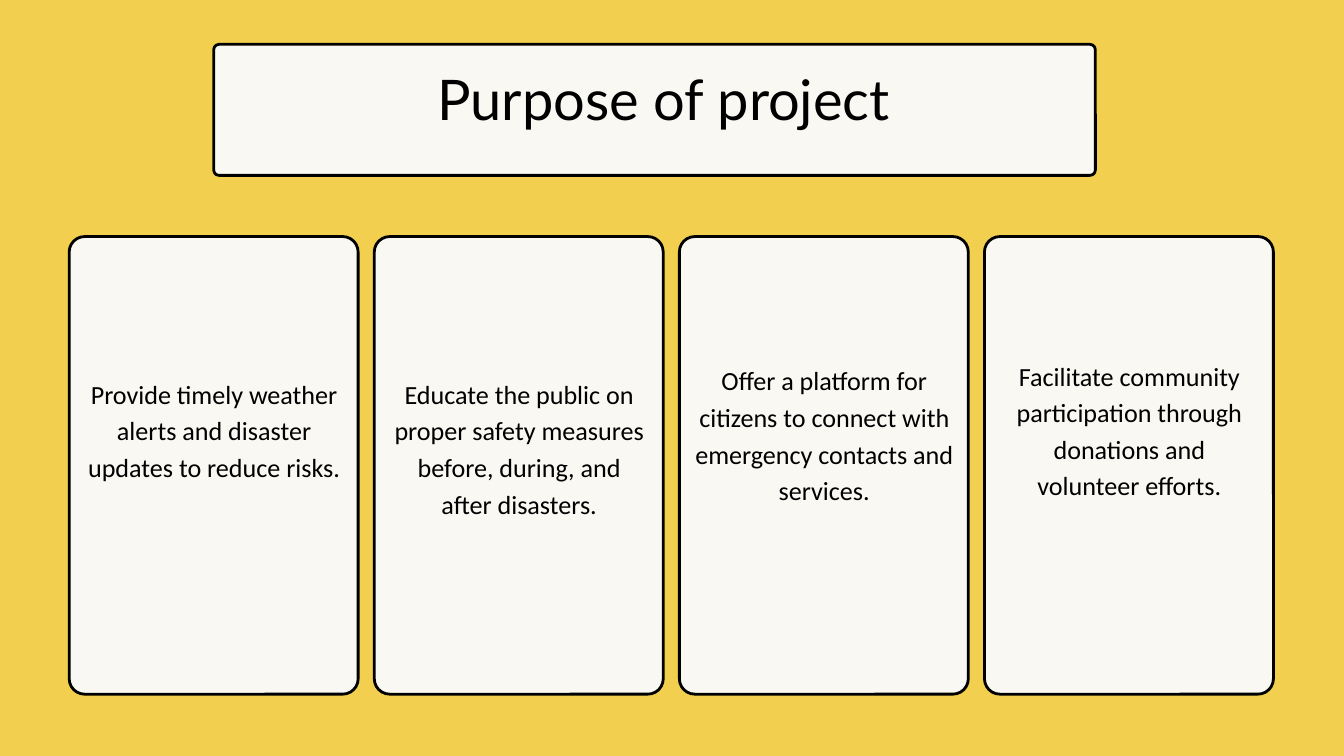
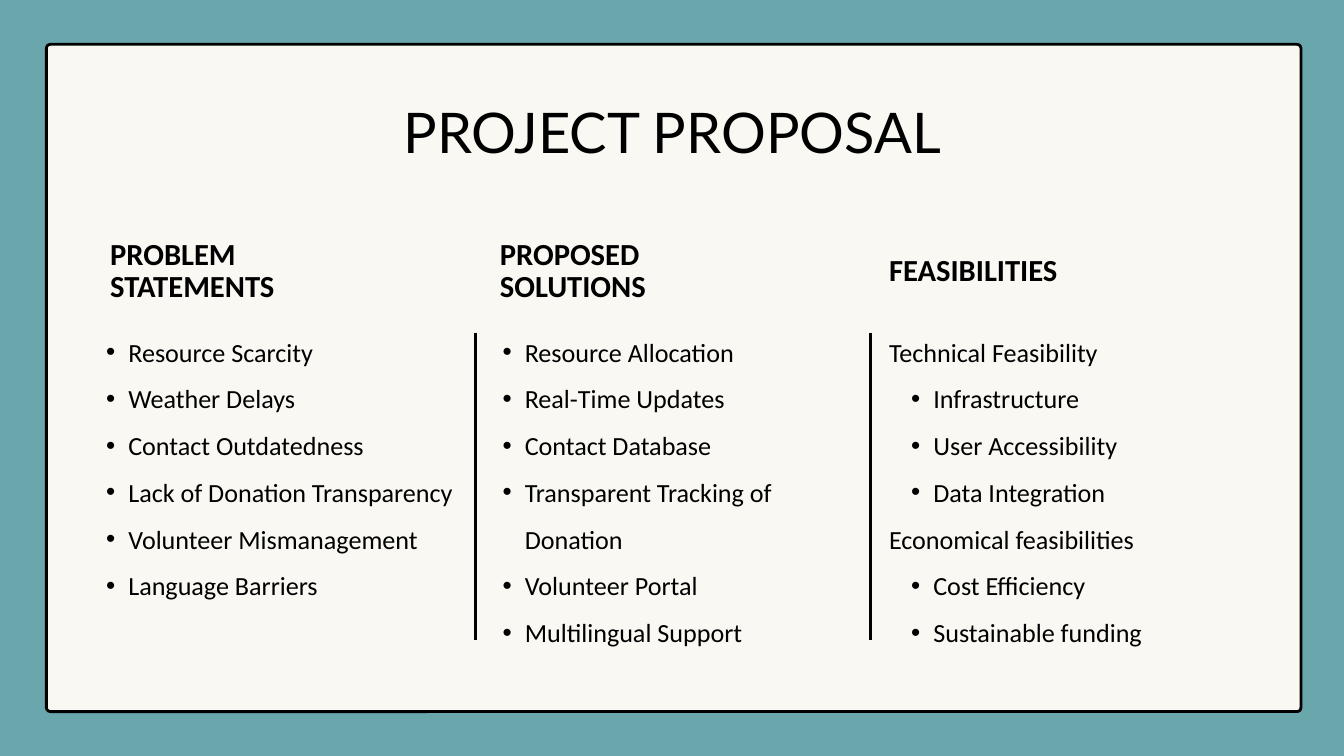
"""Build two slides: the purpose of a project and its proposal."""
import pptx
import pptx.dml.color
import pptx.enum.shapes
import pptx.enum.text
import pptx.util
from lxml import etree
from pptx.oxml.ns import qn

Inches = pptx.util.Inches
Pt = pptx.util.Pt
RGBColor = pptx.dml.color.RGBColor
ALIGN = pptx.enum.text.PP_ALIGN

YELLOW = RGBColor(0xF2, 0xCF, 0x4E)
TEAL = RGBColor(0x6A, 0xA7, 0xAD)
CREAM = RGBColor(0xF9, 0xF8, 0xF2)
BLACK = RGBColor(0, 0, 0)

TITLE = dict(font="Lato", size=60, lead=84, align=ALIGN.CENTER)
CARD = dict(size=28, lead=39.2, align=ALIGN.CENTER)
HEAD = dict(size=32.8, lead=35.1, bold=True)
LIST = dict(size=28, lead=50.1)

AIMS = [
    ("Provide timely weather alerts and disaster updates to reduce risks.", 5.55, 2.15),
    ("Educate the public on proper safety measures before, during, and after disasters.", 5.55, 2.69),
    ("Offer a platform for citizens to connect with emergency contacts and services.", 5.35, 3.23),
    ("Facilitate community participation through donations and volunteer efforts.", 5.28, 3.23),
]

COLUMNS = [
    dict(head="PROBLEM STATEMENTS", spot=(1.64, 3.55, 0.98), left=1.25, high=5.45, items=[
        (1, "Resource Scarcity"), (1, "Weather Delays"), (1, "Contact Outdatedness"),
        (1, "Lack of Donation Transparency"), (1, "Volunteer Mismanagement"),
        (1, "Language Barriers")]),
    dict(head="PROPOSED SOLUTIONS", spot=(7.44, 3.55, 0.98), left=7.15, high=4.76, items=[
        (1, "Resource Allocation"), (1, "Real-Time Updates"), (1, "Contact Database"),
        (1, "Transparent Tracking of Donation"), (1, "Volunteer Portal"),
        (1, "Multilingual Support")]),
    dict(head="FEASIBILITIES", spot=(13.23, 3.79, 0.5), left=13.23, high=5.45, items=[
        (0, "Technical Feasibility"), (1, "Infrastructure"), (1, "User Accessibility"),
        (1, "Data Integration"), (0, "Economical feasibilities"),
        (1, "Cost Efficiency"), (1, "Sustainable funding")]),
]
RULES = [7.08, 12.96]


def add_page(deck, color):
    page = deck.slides.add_slide(deck.slide_layouts[6])
    page.background.fill.solid()
    page.background.fill.fore_color.rgb = color
    return page


def add_panel(page, box, radius):
    kind = pptx.enum.shapes.MSO_SHAPE.ROUNDED_RECTANGLE
    panel = page.shapes.add_shape(kind, *map(Inches, box))
    panel.adjustments[0] = radius / min(box[2:])
    panel.shadow.inherit = False
    panel.fill.solid()
    panel.fill.fore_color.rgb = CREAM
    panel.line.color.rgb = BLACK
    panel.line.width = Pt(3)


def add_bullet(para):
    para.level = 1
    props = para._p.get_or_add_pPr()
    props.set("marL", str(Inches(0.66)))
    props.set("indent", str(Inches(-0.33)))
    etree.SubElement(props, qn("a:buFont")).set("typeface", "Arial")
    etree.SubElement(props, qn("a:buChar")).set("char", "•")


def add_text(page, box, text, font="Calibri", size=28, lead=39.2, bold=False, align=ALIGN.LEFT):
    frame = page.shapes.add_textbox(*map(Inches, box)).text_frame
    frame.margin_left = frame.margin_right = frame.margin_top = frame.margin_bottom = 0
    frame.word_wrap = True
    frame.auto_size = pptx.enum.text.MSO_AUTO_SIZE.SHAPE_TO_FIT_TEXT
    items = [(0, text)] if isinstance(text, str) else text
    for place, (level, words) in enumerate(items):
        para = frame.add_paragraph() if place else frame.paragraphs[0]
        if level:
            add_bullet(para)
        para.alignment = align
        para.line_spacing = Pt(lead)
        run = para.add_run()
        run.text = words
        run.font.name = font
        run.font.size = Pt(size)
        run.font.bold = bold
        run.font.color.rgb = BLACK


def add_rule(page, left, top, bottom):
    kind = pptx.enum.shapes.MSO_CONNECTOR.STRAIGHT
    rule = page.shapes.add_connector(kind, *map(Inches, (left, top, left, bottom)))
    rule.line.color.rgb = BLACK
    rule.line.width = Pt(3)
    etree.SubElement(rule._element.spPr, qn("a:effectLst"))


def add_purpose(deck):
    page = add_page(deck, YELLOW)
    add_panel(page, (3.18, 0.66, 13.12, 1.95), 0.08)
    add_text(page, (2.59, 0.8, 14.57, 1.32), "Purpose of project", **TITLE)
    wide, step, inset = 4.3, 4.54, 0.23
    for place, (words, top, high) in enumerate(AIMS):
        left = 1.03 + place * step
        add_panel(page, (left, 3.52, wide, 6.81), 0.23)
        add_text(page, (left + inset, top, 3.85, high), words, **CARD)


def add_proposal(deck):
    page = add_page(deck, TEAL)
    add_panel(page, (0.69, 0.66, 18.67, 9.93), 0.06)
    add_text(page, (2.72, 1.28, 14.57, 1.32), "PROJECT PROPOSAL", **TITLE)
    for col in COLUMNS:
        left, top, high = col["spot"]
        add_text(page, (col["left"], 4.77, 5.83, col["high"]), col["items"], **LIST)
        add_text(page, (left, top, 3.98, high), col["head"], **HEAD)
    for left in RULES:
        add_rule(page, left, 4.95, 9.53)


def main():
    deck = pptx.Presentation()
    deck.slide_width = Inches(20)
    deck.slide_height = Inches(11.25)
    add_purpose(deck)
    add_proposal(deck)
    deck.save("out.pptx")


if __name__ == "__main__":
    main()
